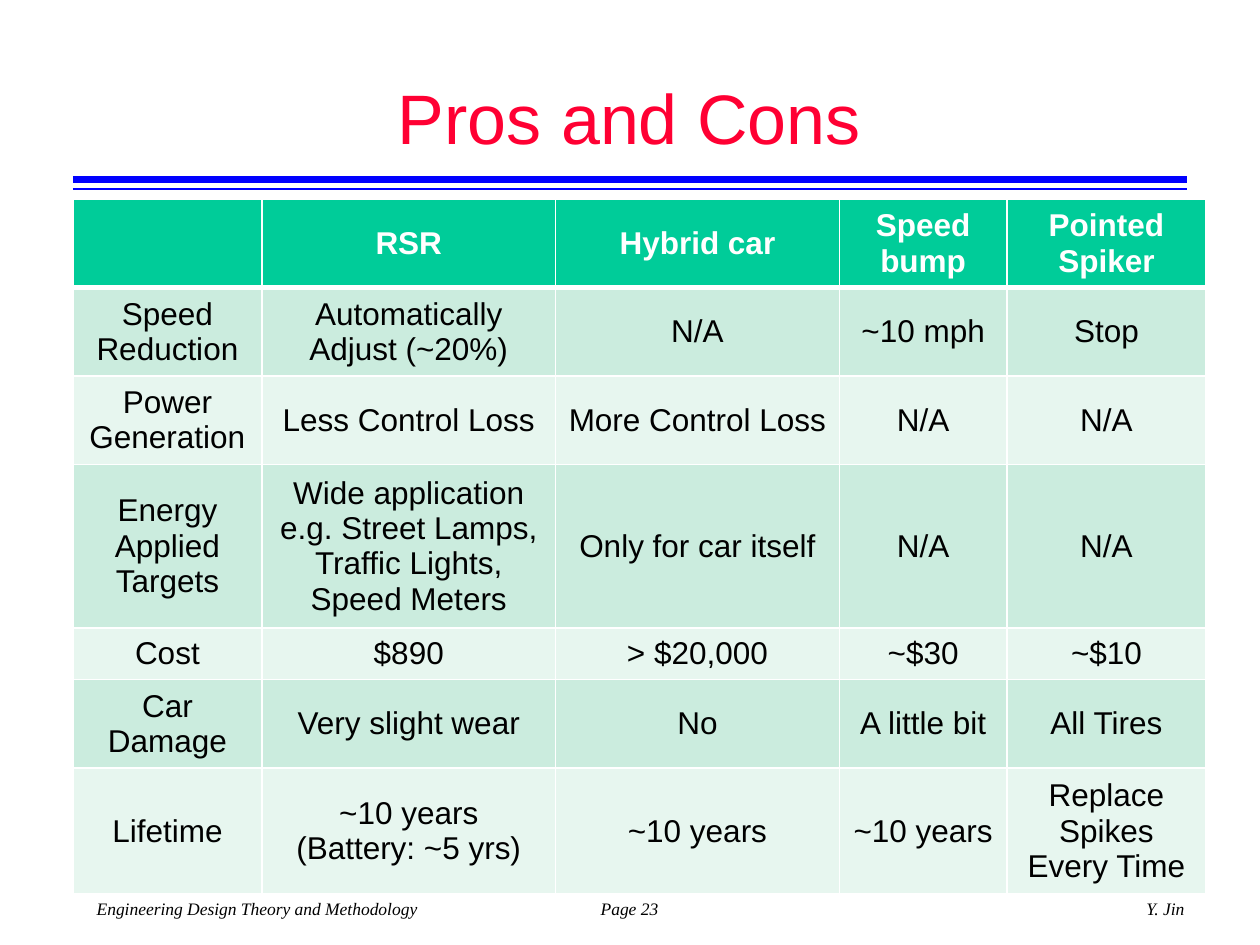
from typing import NamedTuple

from lxml.etree import SubElement
from pptx import Presentation
from pptx.dml.color import RGBColor
from pptx.enum.shapes import MSO_CONNECTOR as Conn
from pptx.enum.text import MSO_ANCHOR as Anchor, MSO_AUTO_SIZE as Fit, PP_ALIGN as Align
from pptx.oxml.ns import qn
from pptx.util import Cm, Pt

RED = RGBColor(0xFF, 0x00, 0x33)
BLUE = RGBColor(0x00, 0x00, 0xFF)
BLACK = RGBColor(0x00, 0x00, 0x00)
WHITE = RGBColor(0xFF, 0xFF, 0xFF)
GREEN = RGBColor(0x00, 0xCC, 0x99)
MINT = RGBColor(0xCB, 0xEC, 0xDE)
PALE = RGBColor(0xE7, 0xF6, 0xEF)


class Rule(NamedTuple):
    top: float
    width: float


class Note(NamedTuple):
    left: float
    width: float
    text: str


LEFT, RIGHT = 1.47, 23.93
RULES = [Rule(3.61, 4), Rule(3.81, 1)]
NOTES = [
    Note(11.86, 1.75, "Page 23"),
    Note(1.7, 7.01, "Engineering Design Theory and Methodology"),
    Note(22.86, 1.32, "Y. Jin"),
]
COLS = [3.81, 5.92, 5.72, 3.38, 4.01]
ROWS = [1.78, 1.78, 1.78, 3.3, 1.04, 1.78, 2.54]
CELLS = [
    ["", "RSR", "Hybrid car", "Speed bump", "Pointed Spiker"],
    ["Speed Reduction", "Automatically Adjust (~20%)", "N/A", "~10 mph", "Stop"],
    ["Power Generation", "Less Control Loss", "More Control Loss", "N/A", "N/A"],
    ["Energy Applied Targets",
     "Wide application\ne.g. Street Lamps, Traffic Lights, Speed Meters",
     "Only for car itself", "N/A", "N/A"],
    ["Cost", "$890", "> $20,000", "~$30", "~$10"],
    ["Car Damage", "Very slight wear", "No", "A little bit", "All Tires"],
    ["Lifetime", "~10 years\n(Battery: ~5 yrs)", "~10 years", "~10 years",
     "Replace Spikes\vEvery Time"],
]


def style(font, name: str, size: int, color: RGBColor) -> None:
    font.name, font.size = name, Pt(size)
    font.color.rgb = color


def add_rule(slide, rule: Rule) -> None:
    line = slide.shapes.add_connector(
        Conn.STRAIGHT, Cm(LEFT), Cm(rule.top), Cm(RIGHT), Cm(rule.top))
    line.line.color.rgb = BLUE
    line.line.width = Pt(rule.width)
    SubElement(line._element.spPr, qn("a:effectLst"))


def add_note(slide, note: Note) -> None:
    box = slide.shapes.add_textbox(Cm(note.left), Cm(17.98), Cm(note.width), Cm(0.69))
    frame = box.text_frame
    frame.text = note.text
    frame.word_wrap = False
    frame.auto_size = Fit.SHAPE_TO_FIT_TEXT
    font = frame.paragraphs[0].runs[0].font
    style(font, "Times New Roman", 10, BLACK)
    font.italic = True


def add_edges(cell, top: int, base: int) -> None:
    props = cell._tc.get_or_add_tcPr()
    widths = {"lnL": 1, "lnR": 1, "lnT": top, "lnB": base}
    for tag, width in widths.items():
        edge = SubElement(props, qn(f"a:{tag}"), w=str(Pt(width)))
        fill = SubElement(edge, qn("a:solidFill"))
        SubElement(fill, qn("a:srgbClr"), val=str(WHITE))


def fill_cell(cell, text: str, row: int) -> None:
    head = row == 0
    # Edges come before the fill in the cell properties
    add_edges(cell, top=3 if row == 1 else 1, base=3 if head else 1)
    cell.fill.solid()
    cell.fill.fore_color.rgb = GREEN if head else MINT if row % 2 else PALE
    cell.vertical_anchor = Anchor.MIDDLE
    cell.text_frame.text = text
    for para in cell.text_frame.paragraphs:
        para.alignment = Align.CENTER
        for run in para.runs:
            style(run.font, "Arial", 18, WHITE if head else BLACK)
            run.font.bold = head


def add_grid(slide) -> None:
    frame = slide.shapes.add_table(
        len(ROWS), len(COLS), Cm(LEFT), Cm(4.02), Cm(sum(COLS)), Cm(sum(ROWS)))
    table = frame.table
    for col, width in zip(table.columns, COLS):
        col.width = Cm(width)
    for row, height in zip(table.rows, ROWS):
        row.height = Cm(height)
    for r, texts in enumerate(CELLS):
        for c, text in enumerate(texts):
            fill_cell(table.cell(r, c), text, r)


def set_title(slide, text: str) -> None:
    title = slide.shapes.title
    title.left, title.top = Cm(LEFT), Cm(1.07)
    title.width, title.height = Cm(22.43), Cm(2.54)
    frame = title.text_frame
    frame.text = text
    frame.auto_size = Fit.NONE
    frame.vertical_anchor = Anchor.MIDDLE
    para = frame.paragraphs[0]
    para.alignment = Align.CENTER
    style(para.runs[0].font, "Arial", 40, RED)


def main() -> None:
    deck = Presentation()
    deck.slide_width, deck.slide_height = Cm(25.4), Cm(19.05)
    slide = deck.slides.add_slide(deck.slide_layouts[5])

    # Double rule and footer
    for rule in RULES:
        add_rule(slide, rule)
    for note in NOTES:
        add_note(slide, note)

    # Title and comparison table
    set_title(slide, "Pros and Cons")
    add_grid(slide)
    deck.save("out.pptx")


if __name__ == "__main__":
    main()
